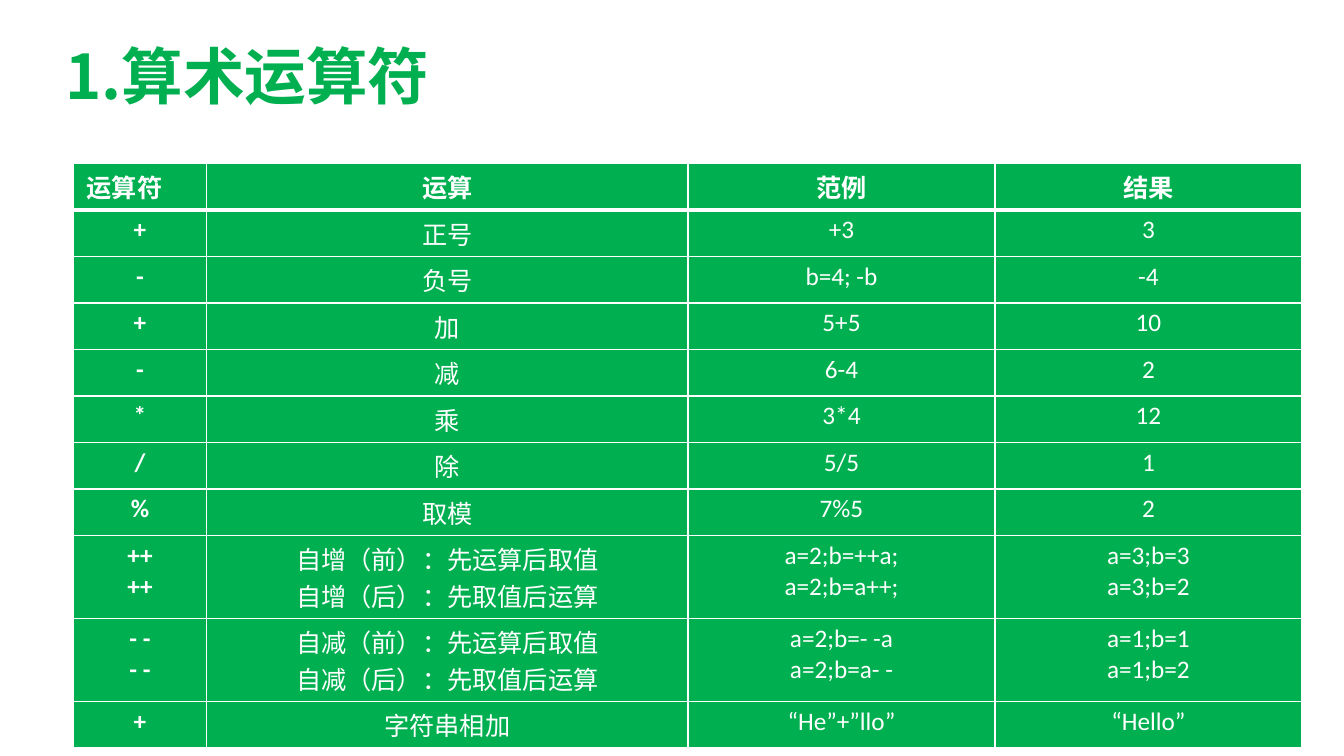
from dataclasses import dataclass

from lxml.etree import SubElement
from pptx import Presentation
from pptx.dml.color import RGBColor as Rgb
from pptx.enum.text import MSO_ANCHOR as Anchor, PP_ALIGN as Align
from pptx.oxml.ns import qn
from pptx.util import Pt


@dataclass(frozen=True)
class Theme:
    green: str = "00B050"
    white: str = "FFFFFF"
    latin: str = "Calibri"
    heading: str = "Times New Roman"
    chinese: str = "Noto Sans CJK SC"
    title_size: int = 44
    cell_size: int = 18
    thin: int = 1
    thick: int = 3


class SlideBuilder:
    PX = 3175

    def __init__(self, deck, theme):
        self.theme = theme
        self.slide = deck.slides.add_slide(deck.slide_layouts[6])

    def px(self, *lengths):
        return [length * self.PX for length in lengths]

    def style(self, paragraph, size, color, latin, bold):
        for run in paragraph.runs:
            run.font.size = Pt(size)
            run.font.bold = bold
            run.font.name = latin
            run.font.color.rgb = Rgb.from_string(color)
            east_asian = SubElement(run.font._element, qn("a:ea"))
            east_asian.set("typeface", self.theme.chinese)

    def title(self, text, box):
        frame = self.slide.shapes.add_textbox(*self.px(*box)).text_frame
        frame.word_wrap = True
        frame.vertical_anchor = Anchor.TOP
        frame.margin_top = 0
        frame.text = text
        heading = frame.paragraphs[0]
        heading.line_spacing = 0.9
        self.style(heading, self.theme.title_size, self.theme.green,
                   self.theme.chinese, True)

    def border(self, cell, side, width):
        line = SubElement(cell._tc.get_or_add_tcPr(), qn(f"a:{side}"))
        line.set("w", str(Pt(width)))
        fill = SubElement(line, qn("a:solidFill"))
        SubElement(fill, qn("a:srgbClr")).set("val", self.theme.white)

    def cell(self, cell, text, row, column):
        theme = self.theme
        header = row == 0
        cell.margin_left, cell.margin_right = self.px(38, 38)
        cell.margin_top, cell.margin_bottom = self.px(14, 14)
        for side in ("lnL", "lnR", "lnT", "lnB"):
            under_header = (row, side) in ((0, "lnB"), (1, "lnT"))
            self.border(cell, side, theme.thick if under_header else theme.thin)
        cell.fill.solid()
        cell.fill.fore_color.rgb = Rgb.from_string(theme.green)
        cell.text_frame.text = text
        for paragraph in cell.text_frame.paragraphs:
            paragraph.alignment = (Align.LEFT if header and column == 0
                                   else Align.CENTER)
            self.style(paragraph, theme.cell_size, theme.white,
                       theme.heading if header else theme.latin,
                       header or column == 0)

    def table(self, rows, left, top, widths, line_heights):
        heights = [line_heights[max(text.count("\n") for text in row)]
                   for row in rows]
        grid = self.slide.shapes.add_table(
            len(rows), len(widths),
            *self.px(left, top, sum(widths), sum(heights))).table
        for column, width in zip(grid.columns, self.px(*widths)):
            column.width = width
        for row, height in zip(grid.rows, self.px(*heights)):
            row.height = height
        for r, texts in enumerate(rows):
            for c, text in enumerate(texts):
                self.cell(grid.cell(r, c), text, r, c)


OPERATORS = [
    ("运算符", "运算", "范例", "结果"),
    ("+", "正号", "+3", "3"),
    ("-", "负号", "b=4; -b", "-4"),
    ("+", "加", "5+5", "10"),
    ("-", "减", "6-4", "2"),
    ("*", "乘", "3*4", "12"),
    ("/", "除", "5/5", "1"),
    ("%", "取模", "7%5", "2"),
    ("++\n++", "自增（前）：先运算后取值\n自增（后）：先取值后运算",
     "a=2;b=++a;\na=2;b=a++;", "a=3;b=3\na=3;b=2"),
    ("- -\n- -", "自减（前）：先运算后取值\n自减（后）：先取值后运算",
     "a=2;b=- -a\na=2;b=a- -", "a=1;b=1\na=1;b=2"),
    ("+", "字符串相加", "“He”+”llo”", "“Hello”"),
]


def main():
    deck = Presentation()
    deck.slide_width, deck.slide_height = (
        3840 * SlideBuilder.PX, 2160 * SlideBuilder.PX)
    builder = SlideBuilder(deck, Theme())
    builder.title("1.算术运算符", (158, 132, 1601, 271))
    builder.table(OPERATORS, 210, 467, (380, 1376, 877, 877), (133, 237))
    deck.save("out.pptx")


if __name__ == "__main__":
    main()
